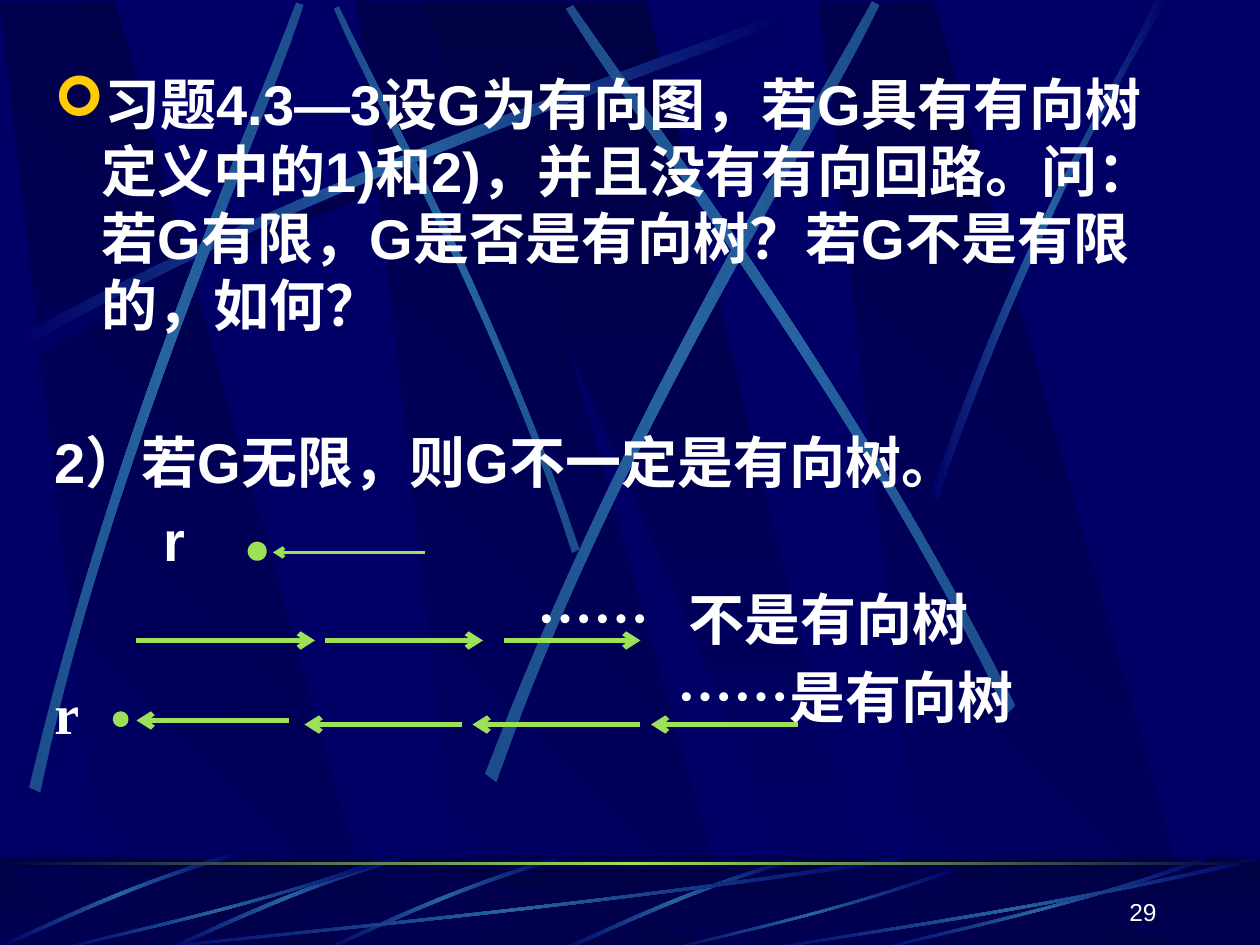
from typing import NamedTuple, Sequence

from lxml import etree
from pptx import Presentation
from pptx.dml.color import RGBColor
from pptx.enum import shapes, text
from pptx.oxml import ns
from pptx.util import Pt

NAVY, DARK, STEEL, DIM = "000066", "000044", "2663A0", "1C4C8C"
GREEN, WHITE, GOLD = "9CE157", "FFFFFF", "FFCC00"
FADE = (NAVY, STEEL, NAVY)
GLOW = (DIM, STEEL, DIM)
Point = tuple[float, float]


class Ribbon(NamedTuple):
    """Two Bezier edges of four points each, and the gradient colours."""
    points: Sequence[Point]
    colors: Sequence[str] = FADE


class Arrow(NamedTuple):
    x1: float
    x2: float
    y: float
    weight: float = 3


class Node(NamedTuple):
    x: float
    y: float
    weight: float


class Line(NamedTuple):
    text: str
    before: float = 6.4
    tabs: Sequence[float] = ()
    bullet: str = ""


class Label(NamedTuple):
    text: str
    box: tuple[float, float, float, float]
    size: float
    font: str
    bold: bool
    align: text.PP_ALIGN
    anchor: text.MSO_ANCHOR


class Graph(NamedTuple):
    arrows: Sequence[Arrow]
    nodes: Sequence[Node] = ()
    labels: Sequence[Label] = ()


SLAB_OFFSETS = (203.8, 0, 468)
BAND = (0, 489.6, 720, 54)
RIBBONS = (
    Ribbon(((14.4, 198), (204.5, 96.5), (377.3, 42.5), (450.7, 13),
            (452.9, 17.3), (380.2, 49.7), (182.9, 108.7), (16.6, 205.2)), (NAVY, DARK, NAVY)),
    Ribbon(((331.2, 313.9), (281.5, 168.5), (217.4, 55.4), (193.7, 3.6),
            (190.8, 5), (212.4, 56.9), (286.6, 185.8), (326.9, 316.1)), GLOW),
    Ribbon(((10.1, 192.2), (200.2, 90), (373, 36.7), (446.4, 7.2),
            (448.6, 11.5), (375.8, 43.9), (178.6, 103), (12.2, 199.4))),
    Ribbon(((16.6, 450), (67, 240.5), (141.8, 75.6), (169.2, 1.4),
            (173.5, 2.9), (149, 78.5), (61.9, 265), (23, 452.9)), GLOW),
    Ribbon(((277.2, 442.1), (358.6, 230.4), (459.4, 73.4), (498.2, 0.7),
            (502.6, 2.9), (467.3, 77.8), (349.9, 255.6), (283.7, 447.1)), GLOW),
    Ribbon(((580.3, 403.2), (482.4, 211), (371.5, 68.4), (327.6, 2.9),
            (323.3, 5), (365, 72.7), (493.2, 234), (575.3, 408.2)), GLOW),
    Ribbon(((531.4, 283.7), (586.1, 124.6), (639.4, 47.5), (660.2, 0),
            (667.4, 0), (601.9, 104.4), (553.7, 231.8), (535.7, 285.8))),
)
BLADE = ((318.2, 489.6), (255.6, 507.6), (206.6, 532.8), (184.3, 542.2),
         (185, 543.6), (207.4, 535), (262.8, 506.2), (319.7, 491.8))
BLADE_SHIFTS = ((134, 1), (0, 0), (-90, 0), (-184, -2.5))
STREAK = ((1, 0.04), (0.57, 0.57), (0.17, 0.85), (0.01, 1),
          (0, 0.99), (0.17, 0.81), (0.62, 0.51), (0.99, 0))
STREAK_BOXES = ((72, 489.6, 444, 54), (30, 489.6, 192, 54), (379.4, 496, 166.3, 47.5),
                (498, 489.6, 192, 54), (432, 489.6, 288, 54))

LINES = (
    Line("习题4.3—3设G为有向图，若G具有有向树定义中的1)和2)，并且没有有向回路。"
         "问：若G有限，G是否是有向树？若G不是有限的，如何？", before=0, bullet="➢"),
    Line("2）若G无限，则G不一定是有向树。", before=51),
    Line("\tr", tabs=(62.5,)),
    Line("\t……\t不是有向树", tabs=(276, 362.4)),
    Line("\t……是有向树", tabs=(356,)),
)
ROOT = Label("r", (24, 384, 36, 46), 32, "Times New Roman", True,
             text.PP_ALIGN.LEFT, text.MSO_ANCHOR.TOP)
NUMBER = Label("29", (518, 496.8, 150, 36), 14, "Arial", False,
               text.PP_ALIGN.RIGHT, text.MSO_ANCHOR.BOTTOM)
GRAPHS = (
    Graph((Arrow(243, 156, 315.7, 2),), (Node(144, 312, 5),)),
    Graph((Arrow(78, 180, 366), Arrow(186, 276, 366), Arrow(288, 366, 366))),
    Graph((Arrow(165, 78, 411.7), Arrow(264, 174, 414), Arrow(366, 270, 414),
           Arrow(456, 372, 414)), (Node(66, 408, 3),), (ROOT,)),
)


def rgb(color: str) -> RGBColor:
    return RGBColor.from_string(color)


def add(parent, tag: str, **attrs):
    return etree.SubElement(parent, ns.qn(tag), {k: str(v) for k, v in attrs.items()})


def fill_gradient(sp, colors: Sequence[str], angle: int) -> None:
    sp.shadow.inherit = False
    sp.line.fill.background()
    sp.fill.gradient()
    grad = sp.fill._xPr.find(ns.qn("a:gradFill"))
    for child in list(grad):
        grad.remove(child)
    stops = add(grad, "a:gsLst")
    for i, color in enumerate(colors):
        stop = add(stops, "a:gs", pos=100000 * i // (len(colors) - 1))
        add(stop, "a:srgbClr", val=color)
    add(grad, "a:lin", ang=angle * 60000, scaled=0)


def draw_polygon(s, points: Sequence[Point], colors: Sequence[str], angle: int):
    start, *rest = [(Pt(x), Pt(y)) for x, y in points]
    builder = s.shapes.build_freeform(*start, scale=1.0)
    builder.add_line_segments(rest, close=True)
    sp = builder.convert_to_shape()
    fill_gradient(sp, colors, angle)
    return sp


def draw_ribbon(s, ribbon: Ribbon) -> None:
    """Draw the outline, then turn the three segments of each edge into one curve."""
    sp = draw_polygon(s, ribbon.points, ribbon.colors, 0)
    segments = sp._element.findall(".//" + ns.qn("a:lnTo"))
    for edge in (segments[:3], segments[4:7]):
        curve = etree.Element(ns.qn("a:cubicBezTo"))
        edge[0].addprevious(curve)
        for segment in edge:
            curve.append(segment[0])
            segment.getparent().remove(segment)


def draw_slabs(s, top: float, bottom: float) -> None:
    """Three slanted slabs and a wedge between two heights."""
    for x in SLAB_OFFSETS:
        slab = ((x, top), (x + 61.9, bottom), (x + 217.4, bottom), (x + 65.5, top))
        draw_polygon(s, slab, (NAVY, DARK), 315)
    wedge = ((239.8, top), (473.8, bottom), (499.7, bottom), (369.4, top))
    draw_polygon(s, wedge, (DARK, NAVY), 90)


def draw_rect(s, box: Sequence[float]):
    sp = s.shapes.add_shape(shapes.MSO_SHAPE.RECTANGLE, *map(Pt, box))
    sp.shadow.inherit = False
    sp.line.fill.background()
    return sp


def draw_background(s) -> None:
    draw_slabs(s, 0.7, 541)
    for ribbon in RIBBONS:
        draw_ribbon(s, ribbon)
    fill_gradient(draw_rect(s, BAND), (DARK, NAVY), 90)
    draw_slabs(s, 495.4, 543.6)
    veil = draw_rect(s, BAND)
    veil.fill.solid()
    veil.fill.fore_color.rgb = rgb(DARK)
    add(veil.fill._xPr.find(".//" + ns.qn("a:srgbClr")), "a:alpha", val=50000)
    for dx, dy in BLADE_SHIFTS:
        draw_ribbon(s, Ribbon([(x + dx, y + dy) for x, y in BLADE]))
    for left, top, width, height in STREAK_BOXES:
        draw_ribbon(s, Ribbon([(left + x * width, top + y * height) for x, y in STREAK]))
    fill_gradient(draw_rect(s, (0, 492.4, 720, 1.8)), (DARK, GREEN, DARK), 0)


def add_run(p, content: str, size: float, font: str, bold: bool) -> None:
    r = p.add_run()
    r.text = content
    r.font.size, r.font.name, r.font.bold = Pt(size), font, bold
    r.font.color.rgb = rgb(WHITE)


def draw_body(s) -> None:
    tf = s.shapes.add_textbox(Pt(24), Pt(36), Pt(654), Pt(444)).text_frame
    tf.word_wrap = True
    for i, line in enumerate(LINES):
        p = tf.paragraphs[0] if i == 0 else tf.add_paragraph()
        p.space_before = Pt(line.before)
        pr = p._p.get_or_add_pPr()
        if line.bullet:
            pr.set("marL", str(Pt(27)))
            pr.set("indent", str(-Pt(27)))
            add(add(pr, "a:buClr"), "a:srgbClr", val=GOLD)
            add(pr, "a:buFont", typeface="Wingdings", charset=2)
            add(pr, "a:buChar", char=line.bullet)
        if line.tabs:
            tabs = add(pr, "a:tabLst")
            for x in line.tabs:
                add(tabs, "a:tab", pos=Pt(x), algn="l")
        add_run(p, line.text, 32, "Arial", True)


def draw_arrow(s, arrow: Arrow) -> None:
    c = s.shapes.add_connector(shapes.MSO_CONNECTOR.STRAIGHT, Pt(arrow.x1), Pt(arrow.y),
                               Pt(arrow.x2), Pt(arrow.y))
    c.line.color.rgb = rgb(GREEN)
    c.line.width = Pt(arrow.weight)
    add(c.line._get_or_add_ln(), "a:tailEnd", type="arrow")
    add(c._element.spPr, "a:effectLst")


def draw_node(s, node: Node) -> None:
    sp = s.shapes.add_shape(shapes.MSO_SHAPE.OVAL, Pt(node.x), Pt(node.y), Pt(6), Pt(6))
    sp.shadow.inherit = False
    sp.fill.solid()
    sp.fill.fore_color.rgb = sp.line.color.rgb = rgb(GREEN)
    sp.line.width = Pt(node.weight)


def draw_label(s, label: Label) -> None:
    tf = s.shapes.add_textbox(*map(Pt, label.box)).text_frame
    tf.word_wrap = True
    tf.vertical_anchor = label.anchor
    p = tf.paragraphs[0]
    p.alignment = label.align
    add_run(p, label.text, label.size, label.font, label.bold)


def draw_graph(s, graph: Graph) -> None:
    group = s.shapes.add_group_shape()
    for draw, items in zip((draw_arrow, draw_node, draw_label), graph):
        for item in items:
            draw(group, item)


def main() -> None:
    prs = Presentation()
    prs.slide_width, prs.slide_height = Pt(720), Pt(540)
    s = prs.slides.add_slide(prs.slide_layouts[6])
    s.background.fill.solid()
    s.background.fill.fore_color.rgb = rgb(NAVY)
    draw_background(s.shapes.add_group_shape())
    draw_body(s)
    for graph in GRAPHS:
        draw_graph(s, graph)
    draw_label(s, NUMBER)
    prs.save("out.pptx")


if __name__ == "__main__":
    main()
